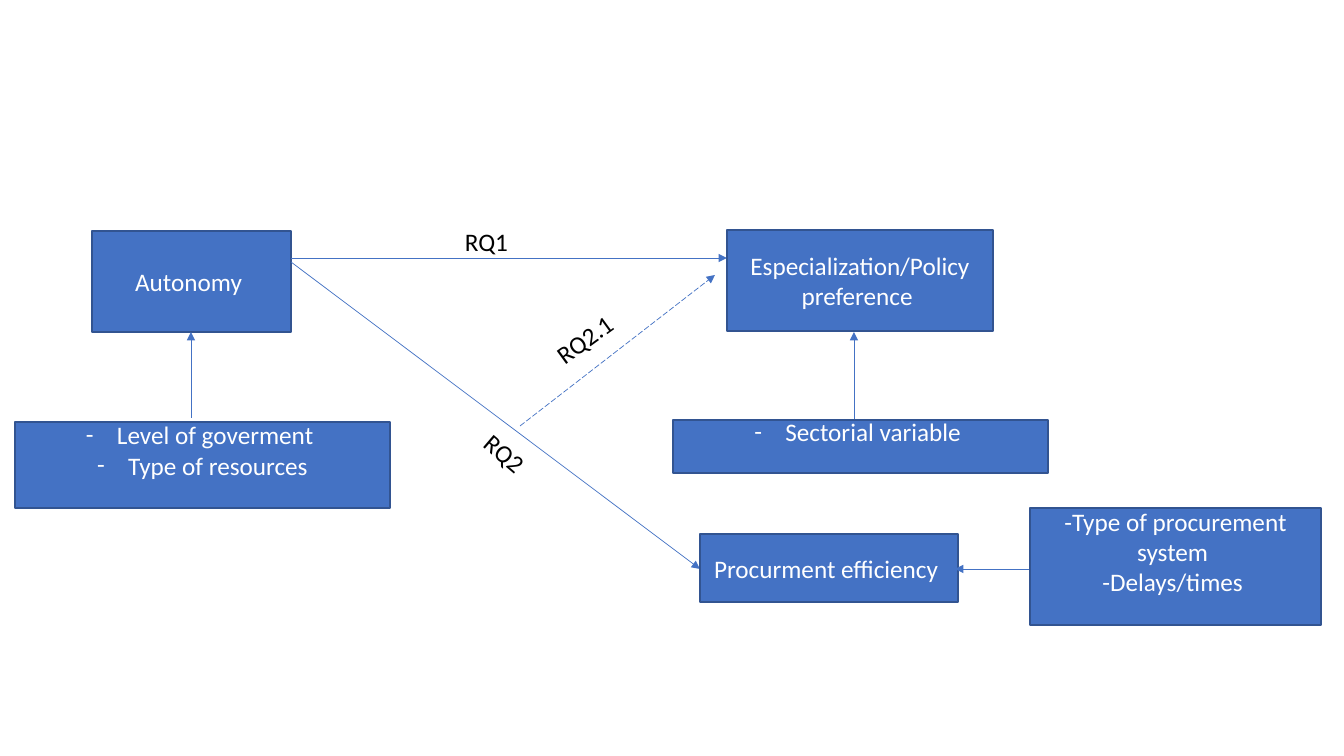
import pptx
import pptx.util
import pptx.dml.color
import pptx.enum.dml
import pptx.enum.shapes
import pptx.enum.text
import pptx.oxml.ns
from lxml import etree

EMU_PER_PX = 914400 / 100.8
COLORS = {"fill": "4472C4", "border": "325491", "light": "FFFFFF", "dark": "000000"}
FONT = "Calibri"
LINE_HEIGHT = 30
INSET = 5
BULLET_INDENT = 31


def px(n):
    """Turn pixels into EMU."""
    return pptx.util.Emu(round(n * EMU_PER_PX))


def rgb(name):
    """Look up a named colour."""
    return pptx.dml.color.RGBColor.from_string(COLORS[name])


def sub(parent, tag, **attrs):
    """Append a DrawingML element."""
    return etree.SubElement(parent, pptx.oxml.ns.qn(tag), attrs)


def write(tf, text, color="light", align="CENTER", bullet=None, size=18):
    """Fill a text frame, one paragraph for each line of text."""
    for i, line in enumerate(text.split("\n")):
        p = tf.add_paragraph() if i else tf.paragraphs[0]
        p.alignment = getattr(pptx.enum.text.PP_ALIGN, align)
        r = p.add_run()
        r.text = line
        r.font.size = pptx.util.Pt(size)
        r.font.name = FONT
        r.font.color.rgb = rgb(color)
        if bullet:
            pPr = p._p.get_or_add_pPr()
            pPr.set("marL", str(px(BULLET_INDENT)))
            pPr.set("indent", str(-px(BULLET_INDENT)))
            sub(pPr, "a:buFont", typeface=FONT)
            sub(pPr, "a:buChar", char=bullet)


class Diagram:
    """Draws boxes, labels and arrows on one slide."""

    def __init__(self, slide):
        """Keep the current slide."""
        self.shapes = slide.shapes

    def box(self, x, y, w, h, text, bullet=None, spare_lines=0):
        """Add a filled box, with room for spare lines below its text."""
        s = self.shapes.add_shape(pptx.enum.shapes.MSO_SHAPE.RECTANGLE,
                                  px(x), px(y), px(w), px(h))
        s.shadow.inherit = False
        s.fill.solid()
        s.fill.fore_color.rgb = rgb("fill")
        s.line.color.rgb = rgb("border")
        s.line.width = pptx.util.Pt(1)
        tf = s.text_frame
        tf.word_wrap = True
        tf.vertical_anchor = pptx.enum.text.MSO_ANCHOR.MIDDLE
        tf.margin_bottom = px(INSET + spare_lines * LINE_HEIGHT)
        write(tf, text, bullet=bullet)

    def label(self, x, y, w, text, rotation=0):
        """Add a text label, turned by some degrees."""
        s = self.shapes.add_textbox(px(x), px(y), px(w), px(40))
        s.rotation = rotation
        s.text_frame.word_wrap = True
        s.text_frame.auto_size = pptx.enum.text.MSO_AUTO_SIZE.SHAPE_TO_FIT_TEXT
        write(s.text_frame, text, color="dark", align="LEFT")

    def arrow(self, x1, y1, x2, y2, dashed=False):
        """Add a thin arrow that points at its second end."""
        s = self.shapes.add_connector(pptx.enum.shapes.MSO_CONNECTOR.STRAIGHT,
                                      px(x1), px(y1), px(x2), px(y2))
        s.line.color.rgb = rgb("fill")
        s.line.width = pptx.util.Pt(0.5)
        if dashed:
            s.line.dash_style = pptx.enum.dml.MSO_LINE.LONG_DASH
        sub(s.line._get_or_add_ln(), "a:tailEnd", type="triangle")
        sub(s._element.spPr, "a:effectLst")


def main():
    """Build and save the research model."""
    prs = pptx.Presentation()
    prs.slide_width, prs.slide_height = px(1344), px(756)
    d = Diagram(prs.slides.add_slide(prs.slide_layouts[6]))

    d.box(92, 231, 199, 101, "Autonomy ")
    d.arrow(291, 258, 727, 258)
    d.box(727, 230, 266, 101, "Especialization/Policy preference ")
    d.arrow(191, 418, 191, 332)
    d.box(15, 422, 375, 86, "Level of goverment \nType of resources", bullet="-", spare_lines=1)
    d.arrow(854, 424, 854, 332)
    d.box(673, 420, 375, 53, "Sectorial variable ", bullet="-", spare_lines=1)
    d.arrow(291, 262, 700, 569)
    d.box(700, 534, 258, 68, "Procurment efficiency ")
    d.arrow(520, 426, 715, 275, dashed=True)
    d.label(455, 221, 67, "RQ1")
    d.label(473, 434, 67, "RQ2", rotation=40.4)
    d.label(540, 309, 115, "RQ2.1", rotation=324)
    d.arrow(1030, 569, 955, 569)
    d.box(1030, 508, 291, 117, "-Type of procurement system \n-Delays/times ", spare_lines=1)

    prs.save("out.pptx")


main()
